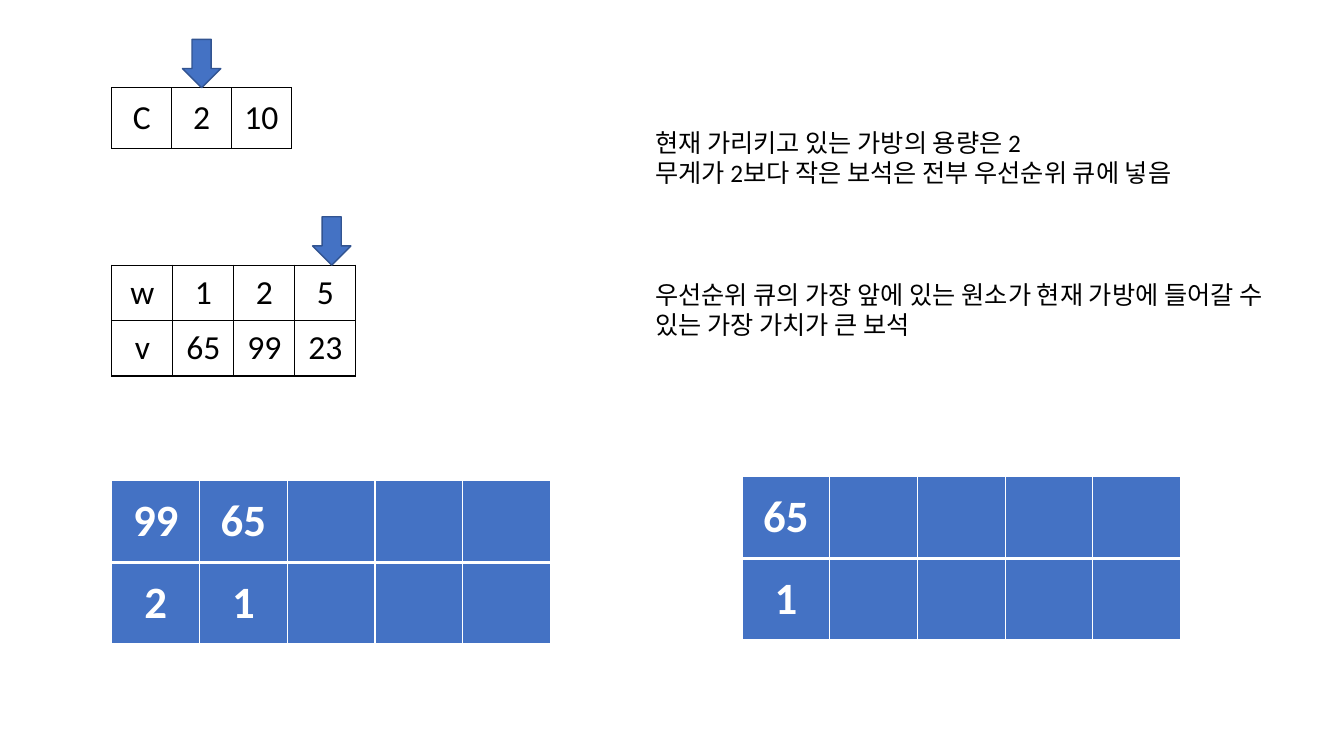
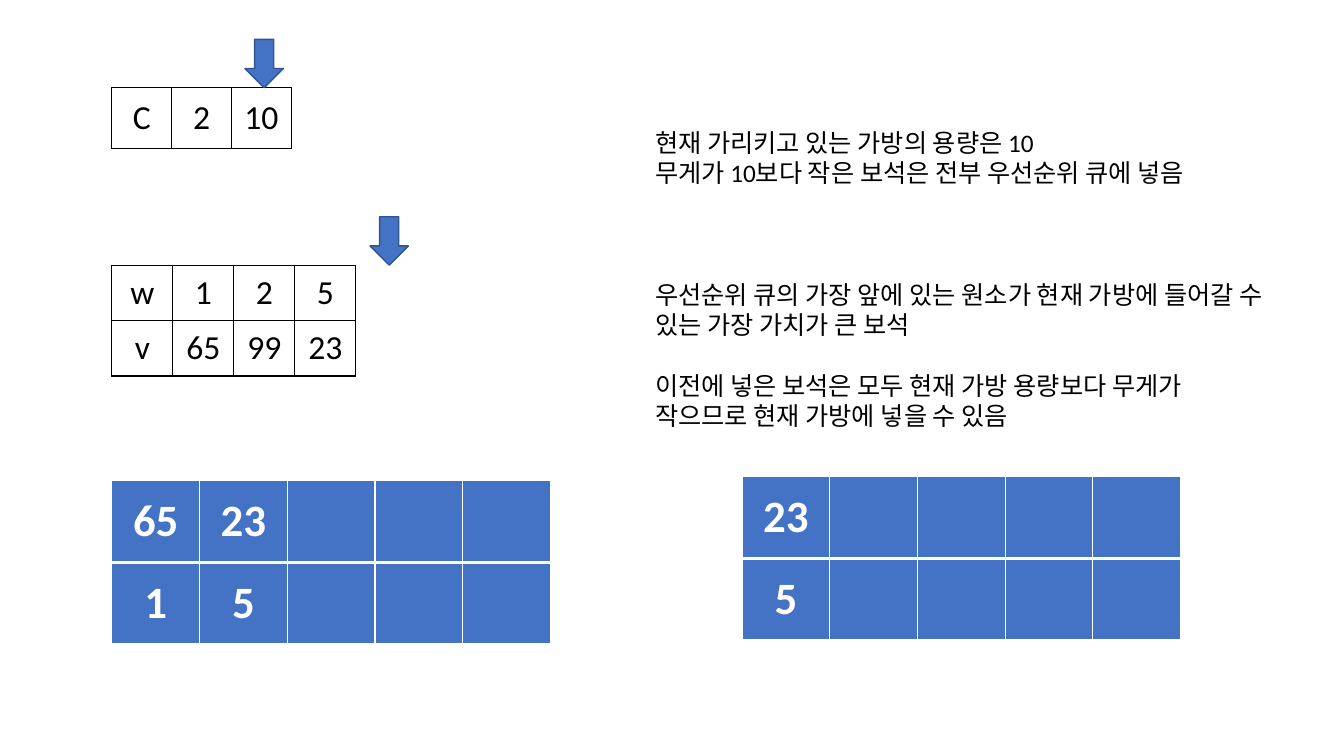
from dataclasses import dataclass

from lxml import etree
from pptx import Presentation
from pptx.dml.color import RGBColor
from pptx.enum.shapes import MSO_SHAPE
from pptx.enum.text import MSO_ANCHOR, MSO_AUTO_SIZE, PP_ALIGN
from pptx.oxml.ns import qn
from pptx.slide import Slide
from pptx.table import _Cell
from pptx.text.text import TextFrame
from pptx.util import Inches, Pt

ARROW = MSO_SHAPE.DOWN_ARROW
MIDDLE = MSO_ANCHOR.MIDDLE
GROW = MSO_AUTO_SIZE.SHAPE_TO_FIT_TEXT
LEFT = PP_ALIGN.LEFT
CENTER = PP_ALIGN.CENTER

FONT = "Calibri"
COLORS = {"blue": "4472C4", "edge": "325491", "white": "FFFFFF", "black": "000000"}


@dataclass(frozen=True)
class Look:
    fill: str
    ink: str
    border: str
    size: int
    bold: bool
    rule: int


@dataclass(frozen=True)
class Grid:
    left: float
    top: float
    width: float
    height: float
    look: Look
    rows: list[list[str]]


@dataclass(frozen=True)
class Note:
    top: float
    height: float
    text: str
    gap: float = 0


@dataclass(frozen=True)
class Step:
    bag: int
    bag_x: float
    gem_x: float
    queue: list[list[str]]
    best: list[list[str]]
    reason: Note


PLAIN = Look("white", "black", "black", 24, False, 1)
QUEUE = Look("blue", "white", "white", 32, True, 3)
SLOTS = 5


def color(name: str) -> RGBColor:
    return RGBColor.from_string(COLORS[name])


def write(frame: TextFrame, text: str, *, size: int = 18, ink: str = "black",
          bold: bool = False, align: PP_ALIGN = LEFT, gap: float = 0) -> None:
    for index, line in enumerate(text.split("\n")):
        para = frame.add_paragraph() if index else frame.paragraphs[0]
        para.alignment = align
        if index and gap:
            para.space_before = Pt(gap)
        run = para.add_run()
        run.text = line
        run.font.name = FONT
        run.font.size = Pt(size)
        run.font.bold = bold
        run.font.color.rgb = color(ink)


def border(cell: _Cell, side: str, name: str, width: float) -> None:
    props = cell._tc.get_or_add_tcPr()
    line = etree.SubElement(props, qn(f"a:ln{side}"), w=str(Pt(width)))
    fill = etree.SubElement(line, qn("a:solidFill"))
    etree.SubElement(fill, qn("a:srgbClr"), val=COLORS[name])


def draw_grid(slide: Slide, grid: Grid) -> None:
    look = grid.look
    count, span = len(grid.rows), len(grid.rows[0])
    table = slide.shapes.add_table(
        count, span, Inches(grid.left), Inches(grid.top),
        Inches(grid.width), Inches(grid.height)).table
    table.first_row = False
    table.horz_banding = False
    for column in table.columns:
        column.width = Inches(grid.width / span)
    for r, row in enumerate(grid.rows):
        table.rows[r].height = Inches(grid.height / count)
        for c, text in enumerate(row):
            cell = table.cell(r, c)
            cell.vertical_anchor = MIDDLE
            widths = {"L": 1, "R": 1,
                      "T": look.rule if r else 1,
                      "B": look.rule if r < count - 1 else 1}
            for side, width in widths.items():
                border(cell, side, look.border, width)
            cell.fill.solid()
            cell.fill.fore_color.rgb = color(look.fill)
            if text:
                write(cell.text_frame, text, size=look.size, ink=look.ink,
                      bold=look.bold, align=CENTER)


def draw_arrow(slide: Slide, left: float, top: float) -> None:
    arrow = slide.shapes.add_shape(
        ARROW, Inches(left), Inches(top), Inches(0.38), Inches(0.48))
    arrow.shadow.inherit = False
    arrow.fill.solid()
    arrow.fill.fore_color.rgb = color("blue")
    arrow.line.color.rgb = color("edge")
    arrow.line.width = Pt(1)


def draw_note(slide: Slide, note: Note) -> None:
    box = slide.shapes.add_textbox(
        Inches(6.4), Inches(note.top), Inches(6.26), Inches(note.height))
    frame = box.text_frame
    frame.word_wrap = True
    frame.auto_size = GROW
    write(frame, note.text, gap=note.gap)


def pad(rows: list[list[str]]) -> list[list[str]]:
    return [row + [""] * (SLOTS - len(row)) for row in rows]


def draw_step(slide: Slide, step: Step) -> None:
    draw_grid(slide, Grid(1.11, 4.77, 4.35, 1.62, QUEUE, pad(step.queue)))
    draw_grid(slide, BAGS)
    draw_grid(slide, GEMS)
    draw_arrow(slide, step.bag_x, 0.39)
    draw_arrow(slide, step.gem_x, 2.15)
    draw_note(slide, Note(1.21, 0.71, RULE.format(bag=step.bag)))
    draw_note(slide, step.reason)
    draw_grid(slide, Grid(7.36, 4.73, 4.35, 1.62, QUEUE, pad(step.best)))


BAGS = Grid(1.11, 0.87, 1.78, 0.6, PLAIN, [["C", "2", "10"]])
GEMS = Grid(1.11, 2.63, 2.42, 1.1, PLAIN,
            [["w", "1", "2", "5"], ["v", "65", "99", "23"]])
RULE = ("현재 가리키고 있는 가방의 용량은 {bag}\n"
        "무게가 {bag}보다 작은 보석은 전부 우선순위 큐에 넣음")
FRONT = "우선순위 큐의 가장 앞에 있는 원소가 현재 가방에 들어갈 수 있는 가장 가치가 큰 보석"
PRIOR = "이전에 넣은 보석은 모두 현재 가방 용량보다 무게가 작으므로 현재 가방에 넣을 수 있음"

STEPS = [
    Step(2, 1.81, 3.1, [["99", "65"], ["2", "1"]], [["65"], ["1"]],
         Note(2.72, 0.71, FRONT)),
    Step(10, 2.43, 3.67, [["65", "23"], ["1", "5"]], [["23"], ["5"]],
         Note(2.72, 1.62, f"{FRONT}\n{PRIOR}", gap=21.6)),
]


def main() -> None:
    deck = Presentation()
    deck.slide_width = Inches(13.33)
    deck.slide_height = Inches(7.5)
    for step in STEPS:
        draw_step(deck.slides.add_slide(deck.slide_layouts[6]), step)
    deck.save("out.pptx")


main()
